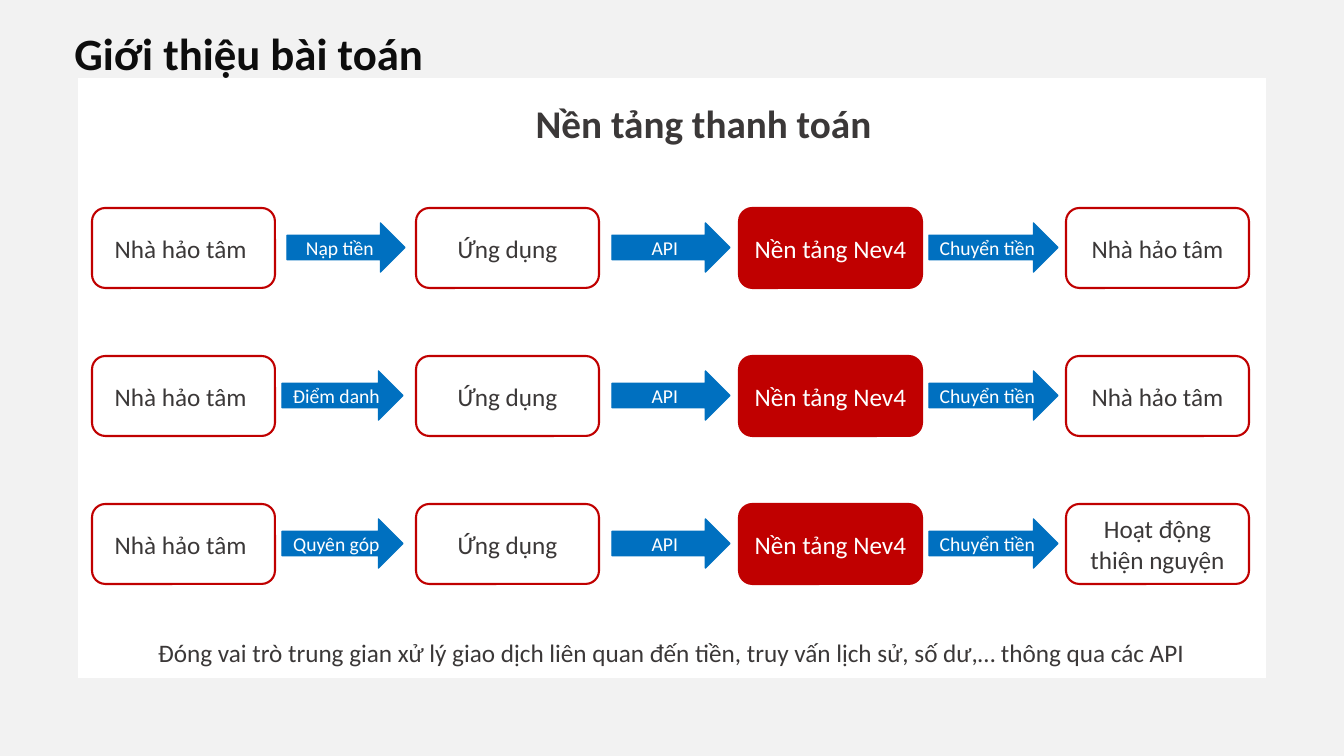
from dataclasses import dataclass

from pptx import Presentation
from pptx.dml.color import RGBColor
from pptx.enum.shapes import MSO_SHAPE
from pptx.enum.text import MSO_ANCHOR, PP_ALIGN
from pptx.util import Emu, Pt

FRAME = MSO_SHAPE.FRAME
ROUND = MSO_SHAPE.ROUNDED_RECTANGLE
ARROW = MSO_SHAPE.RIGHT_ARROW
MIDDLE = MSO_ANCHOR.MIDDLE
CENTER = PP_ALIGN.CENTER
BLANK = 6


@dataclass(frozen=True)
class Theme:
    font: str = "Calibri"
    black: str = "0D0D0D"
    dark: str = "3B3838"
    white: str = "FFFFFF"
    gray: str = "F2F2F2"
    red: str = "C00000"
    blue: str = "0070C0"
    title: int = 32
    head: int = 28
    body: int = 18
    small: int = 14


THEME = Theme()

TOP, STEP = 208, 148
BOX_W, BOX_H = 183, 80
ARROW_H = 49
BOX_X = (92, 416, 739, 1066)
HUB = 2  # column of the filled platform box

APP, HUB_TEXT = "Ứng dụng", "Nền tảng Nev4"
DONOR, SEND = "Nhà hảo tâm", "Chuyển tiền"
# first arrow: label, left, width; then the last box
FLOWS = (
    ("Nạp tiền", 287, 118, DONOR),
    ("Điểm danh", 282, 121, DONOR),
    ("Quyên góp", 282, 121, "Hoạt động thiện nguyện"),
)


def px(num):
    return Emu(round(num * 914400 / 100.8))


def rgb(code):
    return RGBColor.from_string(code)


def write(frame, text, size, color, bold=False, wrap=True):
    frame.text = text
    frame.word_wrap = wrap
    line = frame.paragraphs[0]
    line.alignment = CENTER
    for run in line.runs:
        run.font.name = THEME.font
        run.font.size = Pt(size)
        run.font.bold = bold
        run.font.color.rgb = rgb(color)


def add_shape(slide, kind, area, fill=None, line=None, width=1):
    shape = slide.shapes.add_shape(kind, *map(px, area))
    shape.shadow.inherit = False
    if fill:
        shape.fill.solid()
        shape.fill.fore_color.rgb = rgb(fill)
    else:
        shape.fill.background()
    if line:
        shape.line.color.rgb = rgb(line)
        shape.line.width = Pt(width)
    else:
        shape.line.fill.background()
    shape.text_frame.vertical_anchor = MIDDLE
    return shape


def add_label(slide, area, text, size, color, bold=False):
    label = slide.shapes.add_textbox(*map(px, area))
    write(label.text_frame, text, size, color, bold, wrap=False)


def add_box(slide, left, top, text, full):
    fill, color = (THEME.red, THEME.white) if full else (None, THEME.dark)
    area = (left, top, BOX_W, BOX_H)
    box = add_shape(slide, ROUND, area, fill, THEME.red, 1.5)
    write(box.text_frame, text, THEME.body, color)


def add_arrow(slide, left, top, width, text):
    area = (left, top + (BOX_H - ARROW_H) // 2, width, ARROW_H)
    arrow = add_shape(slide, ARROW, area, THEME.blue, THEME.blue)
    write(arrow.text_frame, text, THEME.small, THEME.white, wrap=False)


def add_flow(slide, top, flow):
    """Draw one row of four boxes joined by three arrows."""
    first, left, width, last = flow
    texts = (DONOR + " ", APP, HUB_TEXT, last)
    for col, text in enumerate(texts):
        add_box(slide, BOX_X[col], top, text, col == HUB)
    arrows = ((left, width, first), (612, 118, "API"), (929, 129, SEND))
    for left, width, text in arrows:
        add_arrow(slide, left, top, width, text)


def main():
    deck = Presentation()
    deck.slide_width, deck.slide_height = px(1344), px(756)
    slide = deck.slides.add_slide(deck.slide_layouts[BLANK])

    border = add_shape(slide, FRAME, (0, 0, 1344, 756), THEME.gray)
    border.adjustments[0] = 0.103
    add_label(slide, (55, 21, 388, 65), "Giới thiệu bài toán",
              THEME.title, THEME.black, True)
    add_label(slide, (514, 94, 379, 57), "Nền tảng thanh toán",
              THEME.head, THEME.dark, True)
    for row, flow in enumerate(FLOWS):
        add_flow(slide, TOP + row * STEP, flow)
    add_label(slide, (145, 632, 1053, 40),
              "Đóng vai trò trung gian xử lý giao dịch liên quan đến tiền, "
              "truy vấn lịch sử, số dư,… thông qua các API",
              THEME.body, THEME.dark)
    deck.save("out.pptx")


if __name__ == "__main__":
    main()
